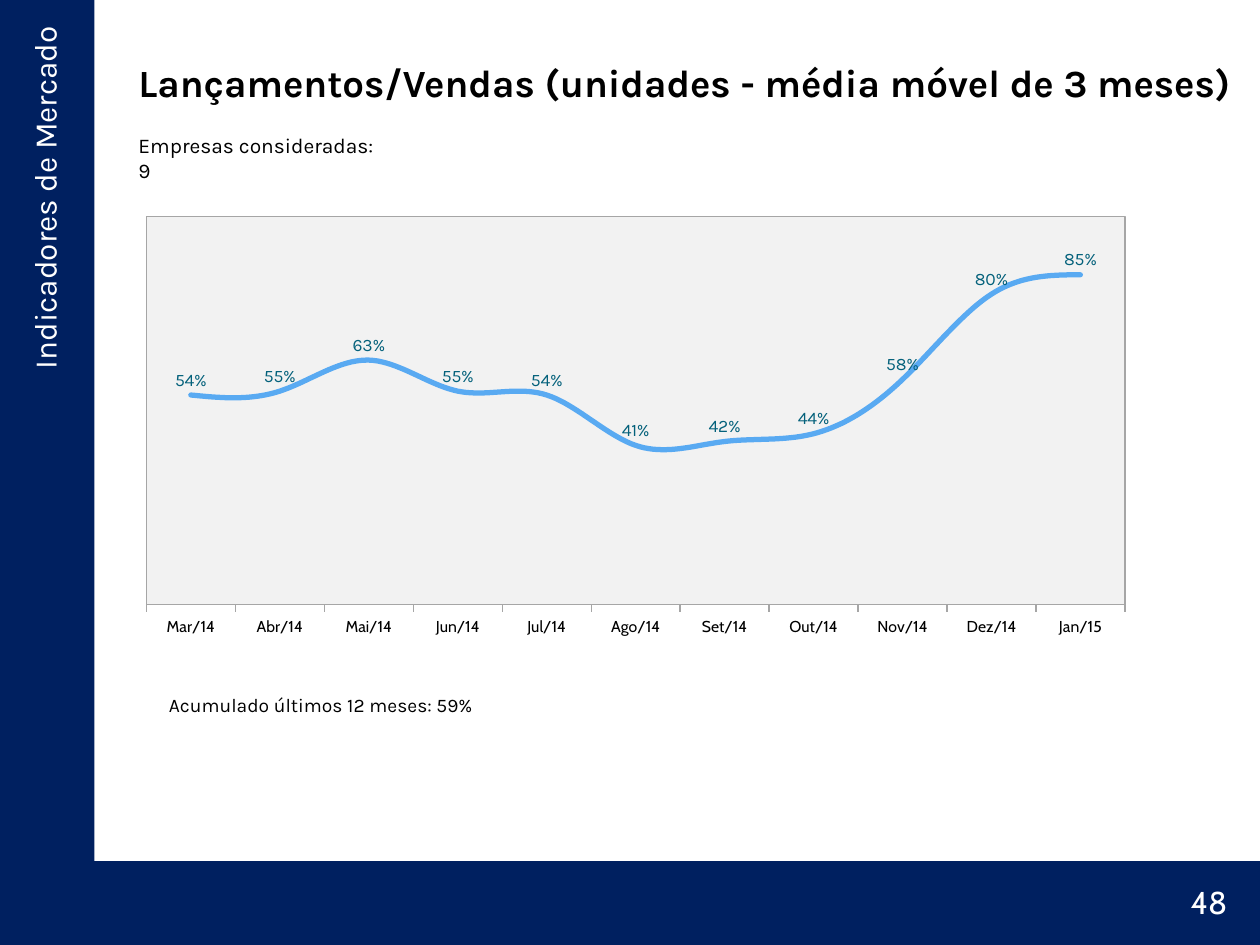
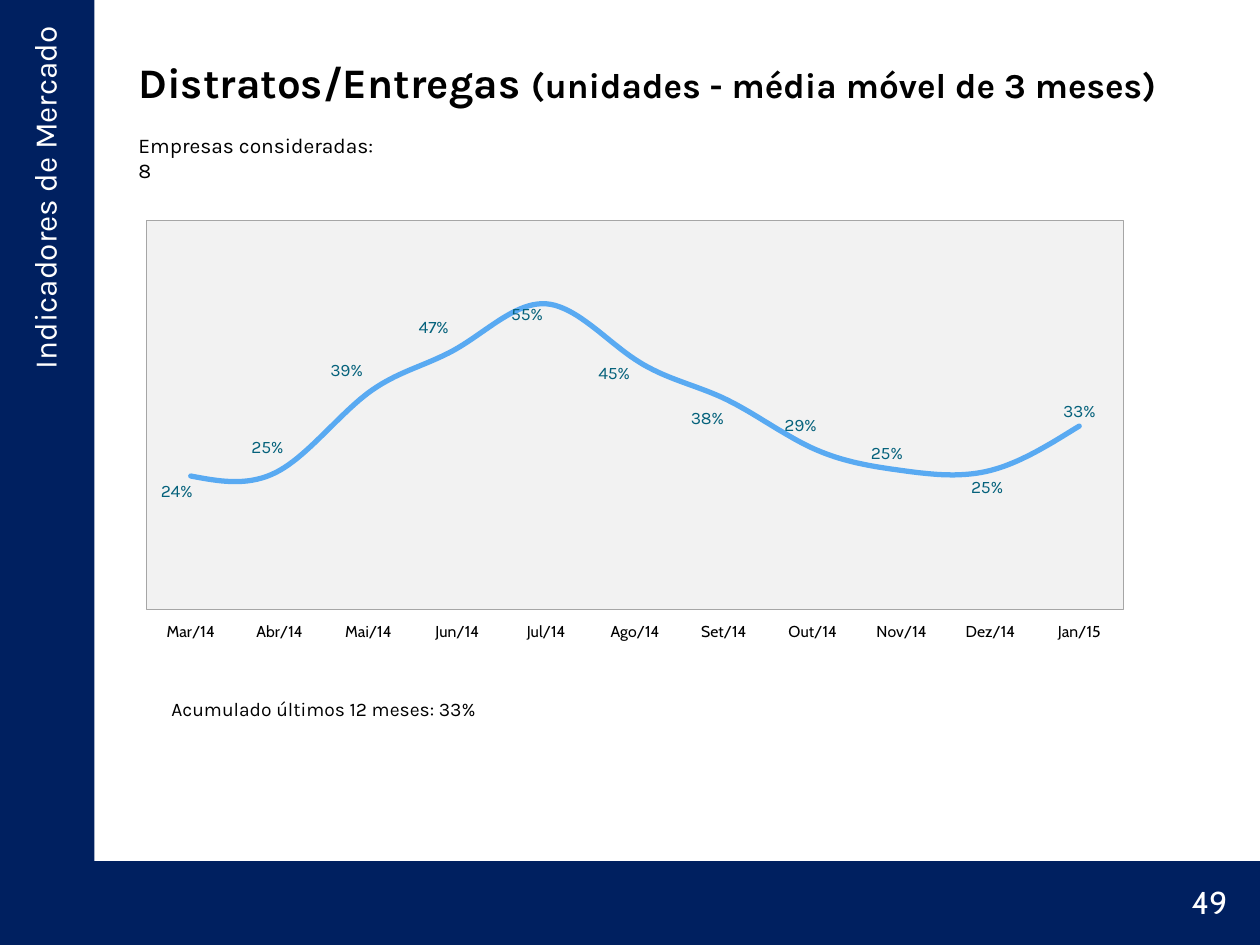
"""Build the two market indicator slides, each with a smoothed line chart."""

import pptx
import pptx.chart.data
import pptx.dml.color
import pptx.enum.chart
import pptx.enum.shapes
import pptx.enum.text
import pptx.oxml
import pptx.oxml.ns
import pptx.util

Pt = pptx.util.Pt
RGBColor = pptx.dml.color.RGBColor
Align = pptx.enum.text.PP_ALIGN
Anchor = pptx.enum.text.MSO_ANCHOR

NAVY = RGBColor(0x00, 0x20, 0x60)
WHITE = RGBColor(0xFF, 0xFF, 0xFF)
BLACK = RGBColor(0x00, 0x00, 0x00)
GREY = RGBColor(0xA6, 0xA6, 0xA6)
PALE = RGBColor(0xF2, 0xF2, 0xF2)
SKY = RGBColor(0x59, 0xAA, 0xF2)
CORAL = RGBColor(0xFF, 0x61, 0x61)
TEAL = RGBColor(0x04, 0x61, 0x7B)

BODY_FONT = "Karla"
NUMBER_FONT = "Cabin"
PAGE_WIDTH, PAGE_HEIGHT = 720, 540
SIDE_WIDTH, FOOTER_TOP = 54, 492
LEFT = 72
MONTHS = ["Mar/14", "Abr/14", "Mai/14", "Jun/14", "Jul/14", "Ago/14",
          "Set/14", "Out/14", "Nov/14", "Dez/14", "Jan/15"]
LINE_STYLES = [(SKY, 3), (CORAL, 2.5)]

SLIDES = [
    dict(
        number=48, companies=9, total="59%",
        title=[("Lançamentos/Vendas (unidades - média móvel de 3 meses)", 22)],
        total_frame=(95.8, 393.1, 185.8, 16.6),
        chart_frame=(LEFT, 118.8, 582.5, 249.1),
        series=[[0.54, 0.55, 0.63, 0.55, 0.54, 0.41, 0.42, 0.44, 0.58, 0.8, 0.85]],
        maximum=1, axis_color=GREY, label_shifts=[],
    ),
    dict(
        number=49, companies=8, total="33%",
        title=[("Distratos/Entregas ", 24), ("(unidades - média móvel de 3 meses)", 20)],
        total_frame=(97.2, 395.6, 200.2, 16.6),
        chart_frame=(LEFT, 121, 581.8, 249.8),
        series=[[0.24, 0.25, 0.39, 0.47, 0.55, 0.45, 0.38, 0.29, 0.25, 0.25, 0.33],
                [None] * 10],
        maximum=0.7, axis_color=None,
        label_shifts=[(-8, 17.5), (-7, -4.5), (-12.5, -4), (-13.5, -3.5), (-11, 14.5),
                      (-12, 16.5), (-9.5, 20), (-7, -4.5), (-8.5, -1.5), (-2, 18.5)],
    ),
]


def xml(tag, content, attributes=""):
    """Return a new element with the chart and drawing namespaces declared."""
    names = pptx.oxml.ns.nsdecls("c", "a")
    return pptx.oxml.parse_xml(f"<{tag} {names} {attributes}>{content}</{tag}>")


def solid(color):
    """Return the markup of a solid fill."""
    return f'<a:solidFill><a:srgbClr val="{color}"/></a:solidFill>'


def manual_layout(content):
    """Return a chart layout element."""
    return xml("c:layout", f"<c:manualLayout>{content}</c:manualLayout>")


class Report:
    """Hold the deck, its style and the current page."""

    def __init__(self):
        """Start an empty deck."""
        self.deck = pptx.Presentation()
        self.deck.slide_width = Pt(PAGE_WIDTH)
        self.deck.slide_height = Pt(PAGE_HEIGHT)
        self.page = None

    def style(self, font, size, color=BLACK, name=BODY_FONT, bold=False):
        """Format one font."""
        font.name, font.size, font.bold = name, Pt(size), bold
        font.color.rgb = color

    def band(self, *frame):
        """Draw a navy band."""
        shape = self.page.shapes.add_shape(
            pptx.enum.shapes.MSO_SHAPE.RECTANGLE, *map(Pt, frame))
        shape.shadow.inherit = False
        shape.fill.solid()
        shape.fill.fore_color.rgb = NAVY
        shape.line.fill.background()

    def text(self, frame, spans, align=Align.LEFT, anchor=Anchor.TOP, **style):
        """Write one paragraph of (text, size) spans and return its box."""
        box = self.page.shapes.add_textbox(*map(Pt, frame))
        box.text_frame.word_wrap = True
        box.text_frame.vertical_anchor = anchor
        para = box.text_frame.paragraphs[0]
        para.alignment = align
        for words, size in spans:
            span = para.add_run()
            span.text = words
            self.style(span.font, size, **style)
        return box

    def start_page(self, title, number):
        """Add a page with its bands, section name, title and number."""
        self.page = self.deck.slides.add_slide(self.deck.slide_layouts[6])
        self.band(0, FOOTER_TOP, PAGE_WIDTH, PAGE_HEIGHT - FOOTER_TOP)
        self.band(0, 0, SIDE_WIDTH, FOOTER_TOP)
        section = self.text((-183.6, 202.3, 417.6, 28.8), [("Indicadores de Mercado", 18)],
                            Align.RIGHT, color=WHITE)
        section.rotation = 270
        self.text((LEFT, 21.6, 648, 50.4), title, anchor=Anchor.MIDDLE, bold=True)
        self.text((642.2, 501.1, 66.2, 28.8), [(str(number), 18)], Align.RIGHT,
                  color=WHITE, name=NUMBER_FONT)

    def table(self, frame, words):
        """Add a one-cell table with white borders."""
        table = self.page.shapes.add_table(1, 1, *map(Pt, frame)).table
        table.first_row = table.horz_banding = False
        cell = table.cell(0, 0)
        cell.text = words
        cell.vertical_anchor = Anchor.BOTTOM
        cell.margin_left = cell.margin_right = cell.margin_top = Pt(0.7)
        cell.margin_bottom = 0
        self.style(cell.text_frame.paragraphs[0].runs[0].font, 11)
        properties = cell._tc.get_or_add_tcPr()
        for side in "LRTB":
            properties.append(xml(f"a:ln{side}", solid(WHITE), f'w="{Pt(1)}"'))
        cell.fill.background()

    def line_chart(self, frame, series, maximum, axis_color, label_shifts):
        """Add a smoothed line chart with percentage labels."""
        data = pptx.chart.data.CategoryChartData(number_format="0%")
        data.categories = MONTHS
        for number, values in enumerate(series, 1):
            data.add_series(f"Series {number}", values)
        chart = self.page.shapes.add_chart(
            pptx.enum.chart.XL_CHART_TYPE.LINE, *map(Pt, frame), data).chart
        chart.has_title = chart.has_legend = False
        self.style(chart.font, 10, name=NUMBER_FONT)
        self.axes(chart, maximum, axis_color)
        self.plot_area(chart)
        plot = chart.plots[0]
        plot.vary_by_categories = False
        for line, (color, width) in zip(plot.series, LINE_STYLES):
            line.smooth = True
            line.format.line.width = Pt(width)
            line.format.line.color.rgb = color
        for outline in chart.element.xpath(".//c:ser/c:spPr/a:ln"):
            outline.set("cap", "rnd")
        self.labels(chart, plot.series[0], label_shifts, frame[2:])

    def axes(self, chart, maximum, color):
        """Hide the value axis and format the category axis."""
        chart.value_axis.minimum_scale = 0
        chart.value_axis.maximum_scale = maximum
        chart.value_axis.has_major_gridlines = False
        chart.value_axis.visible = False
        axis = chart.category_axis
        axis.major_tick_mark = pptx.enum.chart.XL_TICK_MARK.OUTSIDE
        self.style(axis.tick_labels.font, 9, name=NUMBER_FONT)
        if color is None:
            axis.format.line.fill.background()
        else:
            axis.format.line.width = Pt(0.75)
            axis.format.line.color.rgb = color

    def plot_area(self, chart):
        """Place and colour the plot area on a white chart."""
        area = chart.element.xpath("c:chart/c:plotArea")[0]
        for layout in area.xpath("c:layout"):
            area.remove(layout)
        area.insert(0, manual_layout(
            '<c:layoutTarget val="inner"/><c:xMode val="edge"/><c:yMode val="edge"/>'
            '<c:x val="0.02"/><c:y val="0.02"/><c:w val="0.96"/><c:h val="0.89"/>'))
        border = f'<a:ln w="{Pt(0.75)}">{solid(GREY)}</a:ln>'
        area.append(xml("c:spPr", solid(PALE) + border))
        chart.element.xpath("c:chart")[0].addnext(
            xml("c:spPr", solid(WHITE) + "<a:ln><a:noFill/></a:ln>"))

    def labels(self, chart, series, shifts, size):
        """Label the points, moving the first ones by shifts in points."""
        above = pptx.enum.chart.XL_LABEL_POSITION.ABOVE
        labels = series.data_labels
        labels.show_value = True
        labels.number_format, labels.number_format_is_linked = "0%", False
        labels.position = above
        self.style(labels.font, 10, TEAL)
        for index in range(len(shifts)):
            label = series.points[index].data_label
            self.style(label.font, 10, TEAL)
            label.position = above
        for element, shift in zip(chart.element.xpath(".//c:dLbl"), shifts):
            x, y = (move / length for move, length in zip(shift, size))
            layout = manual_layout(f'<c:x val="{x:.4f}"/><c:y val="{y:.4f}"/>')
            element.xpath("c:idx")[0].addnext(layout)
            layout.addnext(xml("c:numFmt", "", 'formatCode="0%" sourceLinked="0"'))
        self.hide_leader_lines(chart)

    def hide_leader_lines(self, chart):
        """Turn off the lines between moved labels and their points."""
        for leader in chart.element.xpath(".//c:showLeaderLines"):
            leader.set("val", "0")
        chart.element.xpath(".//c:ser/c:dLbls")[0].append(xml(
            "c:extLst",
            '<c:ext uri="{CE6537A1-D6FC-4f65-9D91-7224C49458BB}" '
            'xmlns:c15="http://schemas.microsoft.com/office/drawing/2012/chart">'
            '<c15:showLeaderLines val="0"/></c:ext>'))


def main():
    """Build and save the deck."""
    report = Report()
    for slide in SLIDES:
        report.start_page(slide["title"], slide["number"])
        report.text((LEFT, 72, 151, 21.6),
                    [(f"Empresas consideradas: {slide['companies']}", 12)])
        report.table(slide["total_frame"],
                     f"Acumulado últimos 12 meses: {slide['total']}")
        report.line_chart(slide["chart_frame"], slide["series"], slide["maximum"],
                          slide["axis_color"], slide["label_shifts"])
    report.deck.save("out.pptx")


if __name__ == "__main__":
    main()
